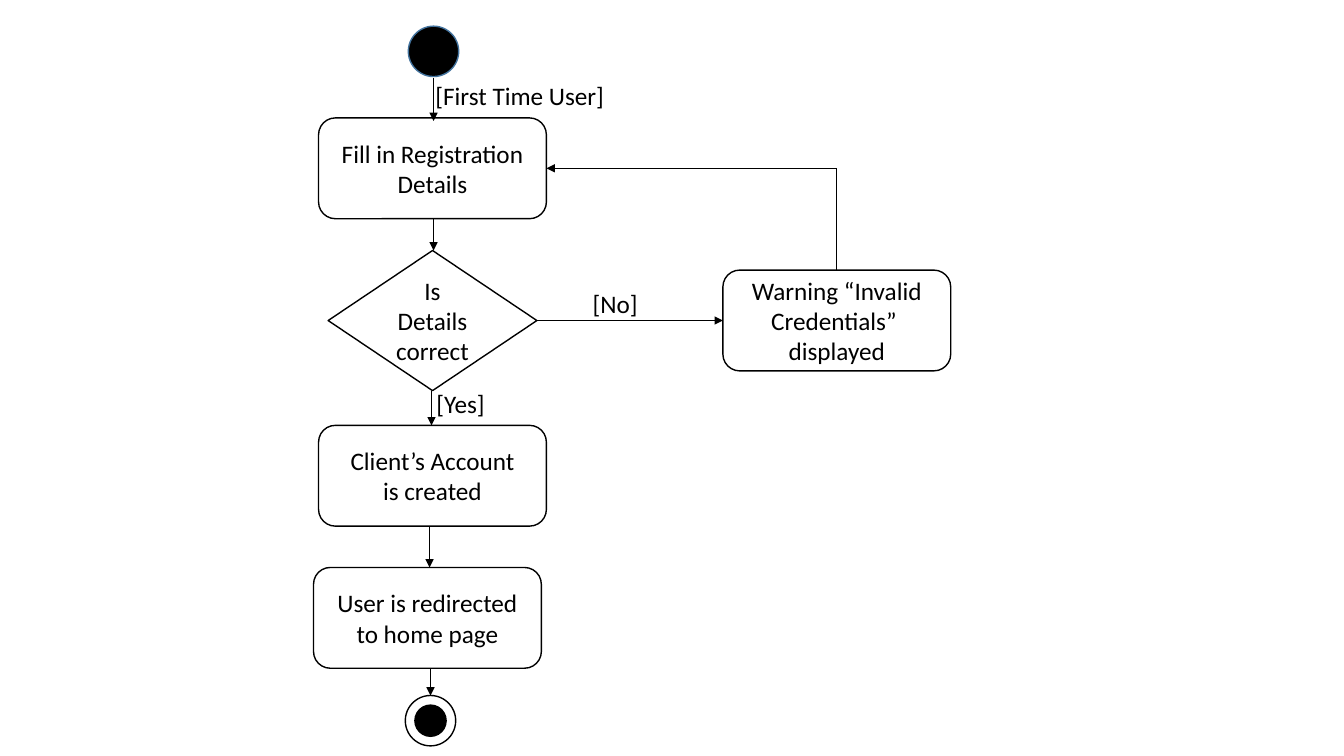
from pptx import Presentation
from pptx.dml.color import RGBColor
from pptx.enum.shapes import MSO_CONNECTOR, MSO_SHAPE
from pptx.enum.text import MSO_ANCHOR, PP_ALIGN
from pptx.oxml import parse_xml
from pptx.oxml.ns import nsdecls
from pptx.util import Inches, Pt

prs = Presentation()
prs.slide_width, prs.slide_height = Inches(13.33), Inches(7.5)
slide = prs.slides.add_slide(prs.slide_layouts[6])


def color(hex_code):
    return RGBColor.from_string(hex_code)


def write(shape, text, align):
    frame = shape.text_frame
    frame.word_wrap = True
    frame.text = text
    for paragraph in frame.paragraphs:
        paragraph.alignment = align
        font = paragraph.runs[0].font
        font.name, font.size = "Calibri", Pt(18)
        font.color.rgb = color("000000")


MAIN, HOME, SIDE = 4.29, 4.24, 8.3
START, FINISH = 4.3, 4.27
FILL_ROW, CHECK_ROW, ACCOUNT_ROW, HOME_ROW, FINISH_ROW = 1.67, 3.18, 4.72, 6.13, 7.15
BOX_W, BOX_H = 2.26, 1
CHECK_W, CHECK_H = 2.07, 1.39
DOT, RING = 0.31, 0.5

box = (MSO_SHAPE.ROUNDED_RECTANGLE, BOX_W, BOX_H)
decision = (MSO_SHAPE.FLOWCHART_DECISION, CHECK_W, CHECK_H)
ring = (MSO_SHAPE.FLOWCHART_CONNECTOR, RING, RING)
dot = (MSO_SHAPE.FLOWCHART_CONNECTOR, DOT, DOT)

nodes = [
    (box, MAIN, FILL_ROW, "FFFFFF", "000000", "Fill in Registration\nDetails"),
    (decision, MAIN, CHECK_ROW, "FFFFFF", "000000", "Is\nDetails\ncorrect"),
    (box, SIDE, CHECK_ROW, "FFFFFF", "000000", "Warning “Invalid Credentials” \ndisplayed"),
    (box, MAIN, ACCOUNT_ROW, "FFFFFF", "000000", "Client’s Account\nis created"),
    (box, HOME, HOME_ROW, "FFFFFF", "000000", "User is redirected\nto home page"),
    (dot, FINISH, FINISH_ROW, "000000", "000000", ""),
    (ring, START, 0.51, "000000", "43739E", ""),
    (ring, FINISH, FINISH_ROW, None, "000000", ""),
]
for (kind, width, height), x, y, fill, outline, text in nodes:
    node = slide.shapes.add_shape(
        kind, Inches(x - width / 2), Inches(y - height / 2), Inches(width), Inches(height))
    node.shadow.inherit = False
    if fill:
        node.fill.solid()
        node.fill.fore_color.rgb = color(fill)
    else:
        node.fill.background()
    node.line.color.rgb = color(outline)
    node.line.width = Pt(1)
    node.text_frame.vertical_anchor = MSO_ANCHOR.MIDDLE
    if text:
        write(node, text, PP_ALIGN.CENTER)

half_box, half_check = BOX_H / 2, CHECK_H / 2
flows = [
    (START, 0.77, START, 1.2, True),
    (START, FILL_ROW + half_box, START, CHECK_ROW - half_check, True),
    (4.28, CHECK_ROW + half_check, 4.28, ACCOUNT_ROW - half_box, True),
    (4.26, ACCOUNT_ROW + half_box, 4.26, HOME_ROW - half_box, True),
    (FINISH, HOME_ROW + half_box, FINISH, FINISH_ROW - RING / 2, True),
    (MAIN + CHECK_W / 2, CHECK_ROW, SIDE - BOX_W / 2, CHECK_ROW, True),
    (SIDE, FILL_ROW, SIDE, CHECK_ROW - half_box, False),
    (SIDE, FILL_ROW, MAIN + BOX_W / 2, FILL_ROW, True),
]
for x1, y1, x2, y2, has_arrow in flows:
    flow = slide.shapes.add_connector(
        MSO_CONNECTOR.STRAIGHT, Inches(x1), Inches(y1), Inches(x2), Inches(y2))
    flow.line.color.rgb = color("000000")
    flow.line.width = Pt(0.5)
    if has_arrow:
        flow.line._get_or_add_ln().append(
            parse_xml(f'<a:tailEnd {nsdecls("a")} type="triangle"/>'))
    flow._element.spPr.append(parse_xml(f'<a:effectLst {nsdecls("a")}/>'))

for x, y, text in [(5.78, 2.81, "[No]"), (4.23, 3.8, "[Yes]"), (4.22, 0.75, "[First Time User]")]:
    label = slide.shapes.add_textbox(Inches(x), Inches(y), Inches(2.75), Inches(0.4))
    write(label, text, PP_ALIGN.LEFT)

prs.save("out.pptx")
